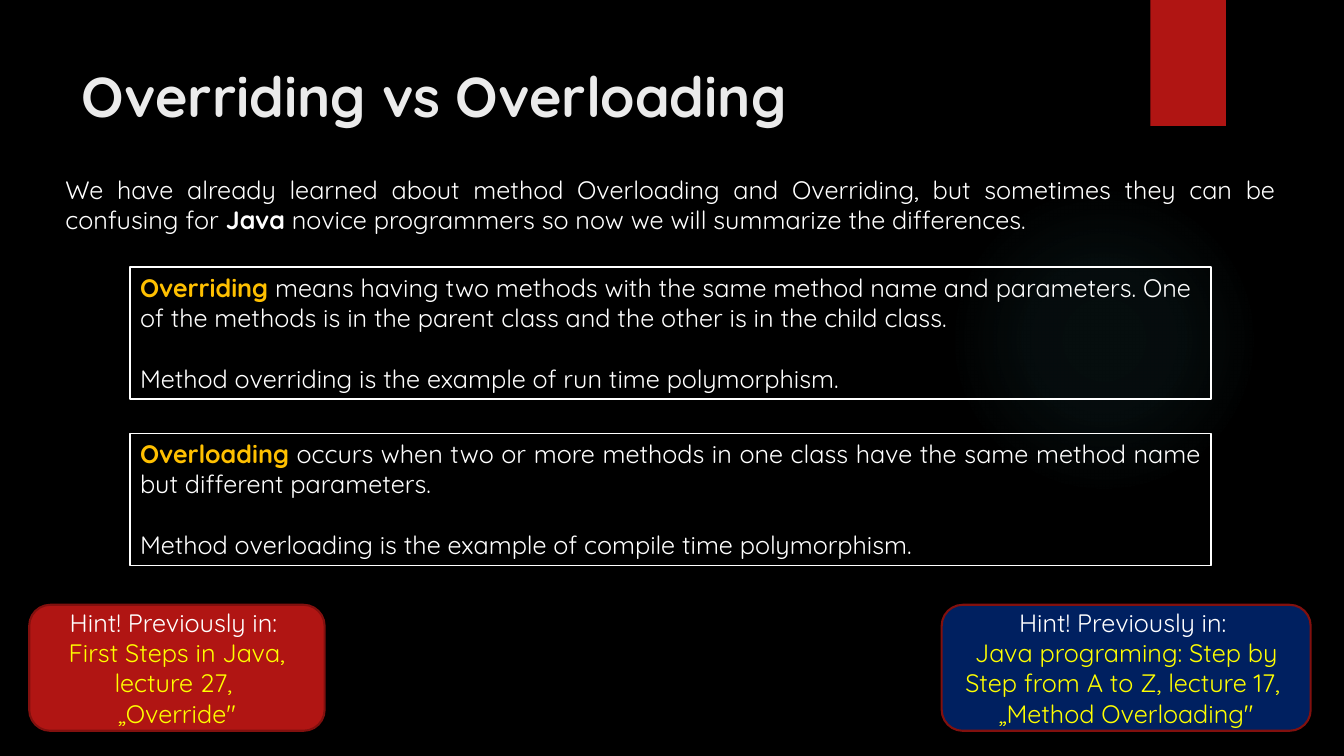
from pptx import Presentation
from pptx.dml.color import RGBColor
from pptx.enum.shapes import MSO_SHAPE
from pptx.enum.text import MSO_ANCHOR, PP_ALIGN
from pptx.oxml import parse_xml
from pptx.oxml.ns import nsdecls, qn
from pptx.util import Inches, Pt

RECTANGLE, OVAL = MSO_SHAPE.RECTANGLE, MSO_SHAPE.OVAL
ROUNDED = MSO_SHAPE.FLOWCHART_ALTERNATE_PROCESS
TOP, MIDDLE = MSO_ANCHOR.TOP, MSO_ANCHOR.MIDDLE
LEFT, CENTER, JUSTIFY = PP_ALIGN.LEFT, PP_ALIGN.CENTER, PP_ALIGN.JUSTIFY

BLACK = RGBColor(0x00, 0x00, 0x00)
WHITE = RGBColor(0xFF, 0xFF, 0xFF)
TITLE_GREY = RGBColor(0xEB, 0xEB, 0xEB)
RED = RGBColor(0xB0, 0x15, 0x13)
DARK_RED = RGBColor(0x82, 0x10, 0x0E)
NAVY = RGBColor(0x00, 0x20, 0x60)
AMBER = RGBColor(0xFF, 0xC0, 0x00)
YELLOW = RGBColor(0xFF, 0xFF, 0x00)
GLOW_COLOR = "50B9C1"
GLOW_STOPS = [(0, 7), (36, 6), (69, 0)]  # position and opacity, percent

FONT = "Quicksand"
BODY_SIZE = 18
BLANK_LINE = Pt(21.6)


def add_run(paragraph, text, color=WHITE, bold=False, size=BODY_SIZE):
    run = paragraph.add_run()
    run.text = text
    run.font.name = FONT
    run.font.size = Pt(size)
    run.font.bold = bold
    run.font.color.rgb = color


def write_paragraphs(shape, paragraphs, alignment, anchor=TOP, gap=Pt(0)):
    """Each paragraph is a list of (text, color, bold) runs."""
    frame = shape.text_frame
    frame.word_wrap = True
    frame.vertical_anchor = anchor
    for index, runs in enumerate(paragraphs):
        paragraph = frame.add_paragraph() if index else frame.paragraphs[0]
        paragraph.alignment = alignment
        if index:
            paragraph.space_before = gap
        for run in runs:
            add_run(paragraph, *run)


def add_box(slide, kind, box, fill=None, line=None, width=1):
    shape = slide.shapes.add_shape(kind, *map(Inches, box))
    shape.shadow.inherit = False
    if fill is None:
        shape.fill.background()
    else:
        shape.fill.solid()
        shape.fill.fore_color.rgb = fill
    if line is None:
        shape.line.fill.background()
    else:
        shape.line.color.rgb = line
        shape.line.width = Pt(width)
    return shape


def add_backdrop(slide, glow_box, ribbon_box):
    slide.background.fill.solid()
    slide.background.fill.fore_color.rgb = BLACK
    # Soft radial glow
    glow = add_box(slide, OVAL, glow_box)
    stops = "".join(
        f'<a:gs pos="{position * 1000}"><a:srgbClr val="{GLOW_COLOR}">'
        f'<a:alpha val="{opacity * 1000}"/></a:srgbClr></a:gs>'
        for position, opacity in GLOW_STOPS)
    gradient = parse_xml(
        f'<a:gradFill {nsdecls("a")} rotWithShape="1"><a:gsLst>{stops}</a:gsLst>'
        '<a:path path="circle"><a:fillToRect l="50000" t="50000" r="50000" b="50000"/>'
        '</a:path></a:gradFill>')
    properties = glow.element.spPr
    properties.replace(properties.find(qn("a:noFill")), gradient)
    # Ribbon at the top edge
    add_box(slide, RECTANGLE, ribbon_box, RED)


def add_title(slide, box, text):
    title = slide.shapes.title
    title.left, title.top, title.width, title.height = map(Inches, box)
    title.text_frame.vertical_anchor = MIDDLE
    paragraph = title.text_frame.paragraphs[0]
    paragraph.alignment = LEFT
    add_run(paragraph, text, TITLE_GREY, True, 40)


def add_intro(slide, box):
    intro = slide.shapes.add_textbox(*map(Inches, box))
    write_paragraphs(intro, [[
        ("We have already learned about method Overloading and Overriding, "
         "but sometimes they can be confusing for ",),
        ("Java", WHITE, True),
        (" novice programmers so now we will summarize the differences. ",),
    ]], JUSTIFY)


def add_definition(slide, box, term, meaning, example, alignment):
    frame = add_box(slide, RECTANGLE, box, line=WHITE)
    write_paragraphs(frame, [[(term, AMBER, True), (meaning,)], [(example,)]],
                     alignment, gap=BLANK_LINE)


def add_hint(slide, box, fill, course, lecture):
    hint = add_box(slide, ROUNDED, box, fill, DARK_RED, 1.5)
    write_paragraphs(hint, [[("Hint! Previously in: ",)], [(course, YELLOW)],
                            [(lecture, YELLOW)]], CENTER, MIDDLE)


def main():
    presentation = Presentation()
    presentation.slide_width = Inches(13.33)
    presentation.slide_height = Inches(7.5)
    slide = presentation.slides.add_slide(presentation.slide_layouts.get_by_name("Title Only"))

    add_backdrop(slide, (9.41, 1.83, 3.08, 3.08), (11.41, 0, 0.75, 1.25))
    add_title(slide, (0.71, 0.5, 10.76, 0.88), "Overriding vs Overloading")
    add_intro(slide, (0.55, 1.68, 12.2, 0.71))

    # Definitions
    add_definition(
        slide, (1.29, 2.65, 10.72, 1.31), "Overriding",
        " means having two methods with the same method name and parameters. "
        "One of the methods is in the parent class and the other is in the child class.",
        "Method overriding is the example of run time polymorphism.", LEFT)
    add_definition(
        slide, (1.29, 4.3, 10.72, 1.31), "Overloading",
        " occurs when two or more methods in one class have the same method name "
        "but different parameters. ",
        "Method overloading is the example of compile time polymorphism. ", JUSTIFY)

    # Hints
    add_hint(slide, (0.29, 6, 2.93, 1.25), RED,
             "First Steps in Java, lecture 27, ", "„Override\"")
    add_hint(slide, (9.34, 6, 3.66, 1.25), NAVY,
             "Java programing: Step by Step from A to Z, lecture 17, ",
             "„Method Overloading\"")

    presentation.save("out.pptx")


if __name__ == "__main__":
    main()
